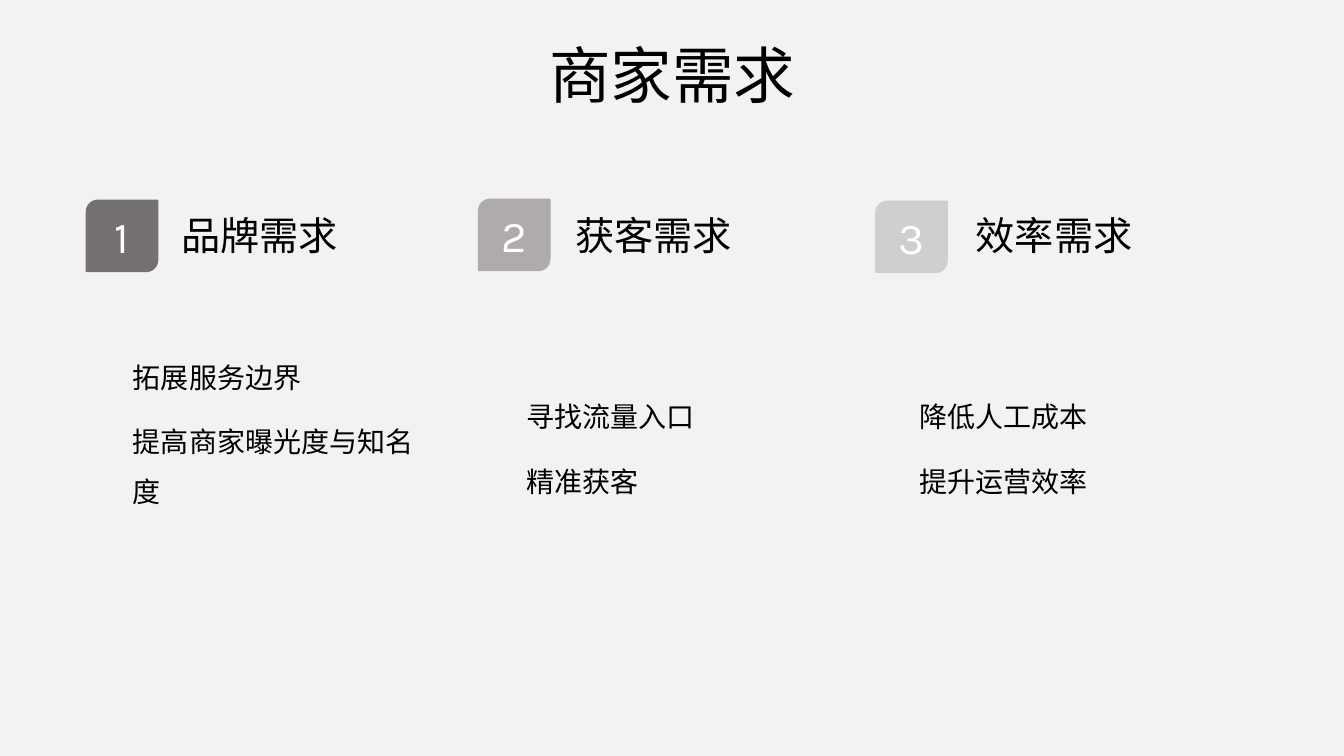
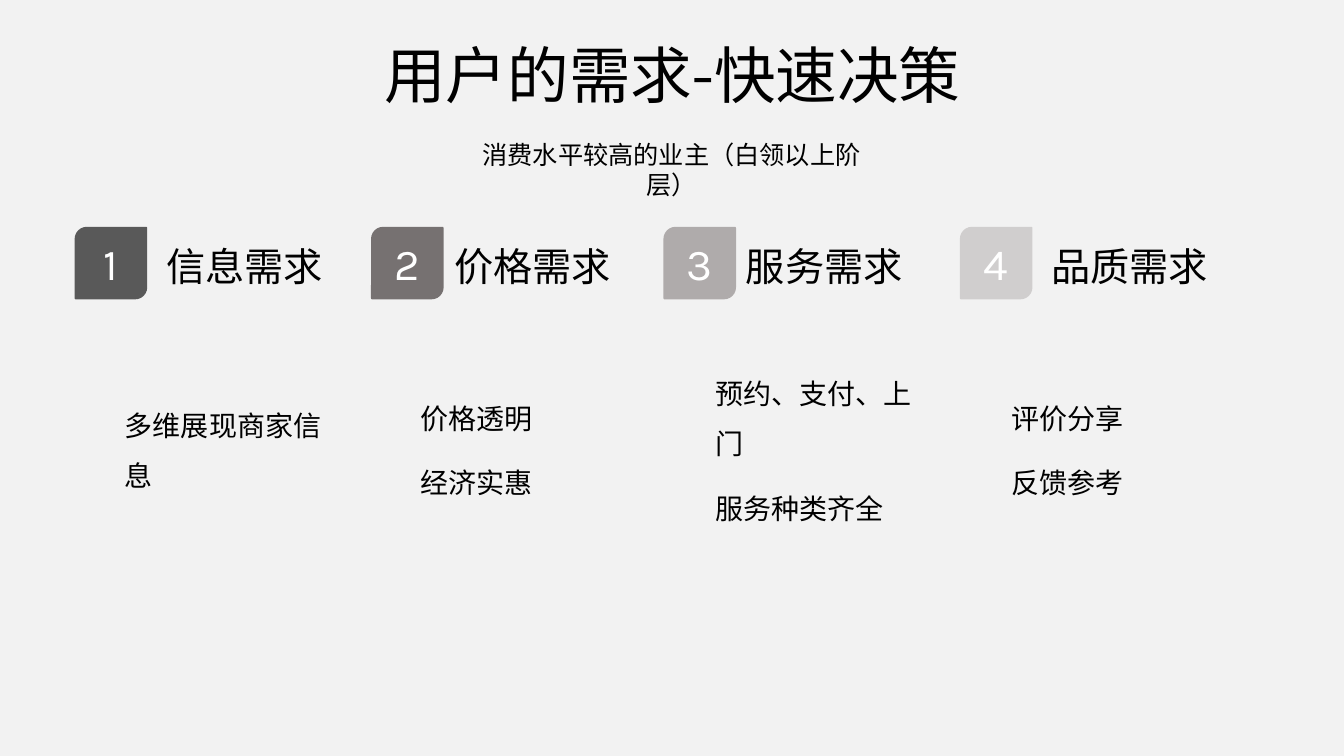
from dataclasses import dataclass

from pptx import Presentation
from pptx.dml.color import RGBColor
from pptx.enum.dml import MSO_LINE
from pptx.enum.shapes import MSO_SHAPE
from pptx.enum.text import MSO_ANCHOR, MSO_AUTO_SIZE, PP_ALIGN
from pptx.util import Inches, Pt

RECT = MSO_SHAPE.RECTANGLE
BADGE = MSO_SHAPE.ROUND_2_DIAG_RECTANGLE
DASH = MSO_LINE.SQUARE_DOT
MIDDLE = MSO_ANCHOR.MIDDLE
GROW = MSO_AUTO_SIZE.SHAPE_TO_FIT_TEXT
LEFT, CENTER = PP_ALIGN.LEFT, PP_ALIGN.CENTER

FONT = "Karla"
PAPER, BLACK, WHITE = "F2F2F2", "000000", "FFFFFF"
GREYS = ["595959", "767171", "AFABAB", "D0CECE"]
BADGE_SIZE = 0.72


@dataclass
class Need:
    heading: str
    points: list
    badge_left: float
    badge_top: float
    heading_left: float
    heading_width: float
    bottom_inset: float = 0.05


@dataclass
class Grid:
    left: float
    top: float
    width: float
    height: float
    pitch: float
    heading_top: float


def rgb(color):
    return RGBColor.from_string(color)


def inches(box):
    return [Inches(length) for length in box]


def write(frame, lines, size, color=BLACK, align=LEFT, spacing=None, before=None):
    for index, line in enumerate(lines):
        paragraph = frame.paragraphs[0] if index == 0 else frame.add_paragraph()
        paragraph.alignment = align
        if spacing:
            paragraph.line_spacing = spacing
        if before:
            paragraph.space_before = Pt(before)
        run = paragraph.add_run()
        run.text = line
        run.font.size = Pt(size)
        run.font.name = FONT
        run.font.color.rgb = rgb(color)


def add_label(slide, box, text, size, align=LEFT, spacing=None, grow=True, wrap=True):
    frame = slide.shapes.add_textbox(*inches(box)).text_frame
    frame.word_wrap = wrap
    if grow:
        frame.auto_size = GROW
    write(frame, [text], size, align=align, spacing=spacing)


def add_title(slide, text):
    add_label(slide, (0.92, 0.4, 11.5, 1.45), text, 44, CENTER, 0.9, grow=False)


def add_panel(slide, box, points, bottom_inset):
    panel = slide.shapes.add_shape(RECT, *inches(box))
    panel.shadow.inherit = False
    panel.fill.background()
    panel.line.color.rgb = rgb(PAPER)
    panel.line.width = Pt(0.75)
    panel.line.dash_style = DASH
    frame = panel.text_frame
    frame.word_wrap = True
    frame.vertical_anchor = MIDDLE
    frame.margin_bottom = Inches(bottom_inset)
    write(frame, points, 20, spacing=1.5, before=10)


def add_badge(slide, left, top, number, color):
    badge = slide.shapes.add_shape(BADGE, *inches((left, top, BADGE_SIZE, BADGE_SIZE)))
    badge.adjustments[0] = 0.167
    badge.adjustments[1] = 0.018
    badge.shadow.inherit = False
    badge.fill.solid()
    badge.fill.fore_color.rgb = rgb(color)
    badge.line.fill.background()
    badge.text_frame.vertical_anchor = MIDDLE
    write(badge.text_frame, [str(number)], 31.5, WHITE, CENTER)


def add_need(slide, box, heading_top, need, number, color):
    add_panel(slide, box, need.points, need.bottom_inset)
    add_badge(slide, need.badge_left, need.badge_top, number, color)
    heading_box = (need.heading_left, heading_top, need.heading_width, 0.57)
    add_label(slide, heading_box, need.heading, 28, wrap=need.heading_width > 2)


def add_needs_slide(deck, title, grid, needs, subtitle=None):
    slide = deck.slides.add_slide(deck.slide_layouts[6])
    slide.background.fill.solid()
    slide.background.fill.fore_color.rgb = rgb(PAPER)
    add_title(slide, title)
    if subtitle:
        add_label(slide, (4.45, 1.33, 4.42, 0.4), subtitle, 18, CENTER)
    for index, (need, color) in enumerate(zip(needs, GREYS[-len(needs):])):
        box = (grid.left + index * grid.pitch, grid.top, grid.width, grid.height)
        add_need(slide, box, grid.heading_top, need, index + 1, color)


deck = Presentation()
deck.slide_width, deck.slide_height = Inches(13.33), Inches(7.5)

add_needs_slide(
    deck, "商家需求", Grid(1.22, 2.35, 3.22, 4.04, 3.9, 2.05),
    [
        Need("品牌需求", ["拓展服务边界", "提高商家曝光度与知名度"], 0.85, 1.98, 1.7, 2.43, 0.34),
        Need("获客需求", ["寻找流量入口", "精准获客"], 4.74, 1.97, 5.61, 2.23),
        Need("效率需求", ["降低人工成本", "提升运营效率"], 8.68, 1.99, 9.58, 1.76),
    ],
)
add_needs_slide(
    deck, "用户的需求-快速决策", Grid(1.14, 2.66, 2.42, 3.45, 2.93, 2.35),
    [
        Need("信息需求", ["多维展现商家信息"], 0.74, 2.25, 1.55, 2.43),
        Need("价格需求", ["价格透明", "经济实惠"], 3.68, 2.25, 4.41, 2.23),
        Need("服务需求", ["预约、支付、上门", "服务种类齐全"], 6.58, 2.25, 7.3, 1.76),
        Need("品质需求", ["评价分享", "反馈参考"], 9.52, 2.25, 10.33, 1.76),
    ],
    "消费水平较高的业主（白领以上阶层）",
)
deck.save("out.pptx")
